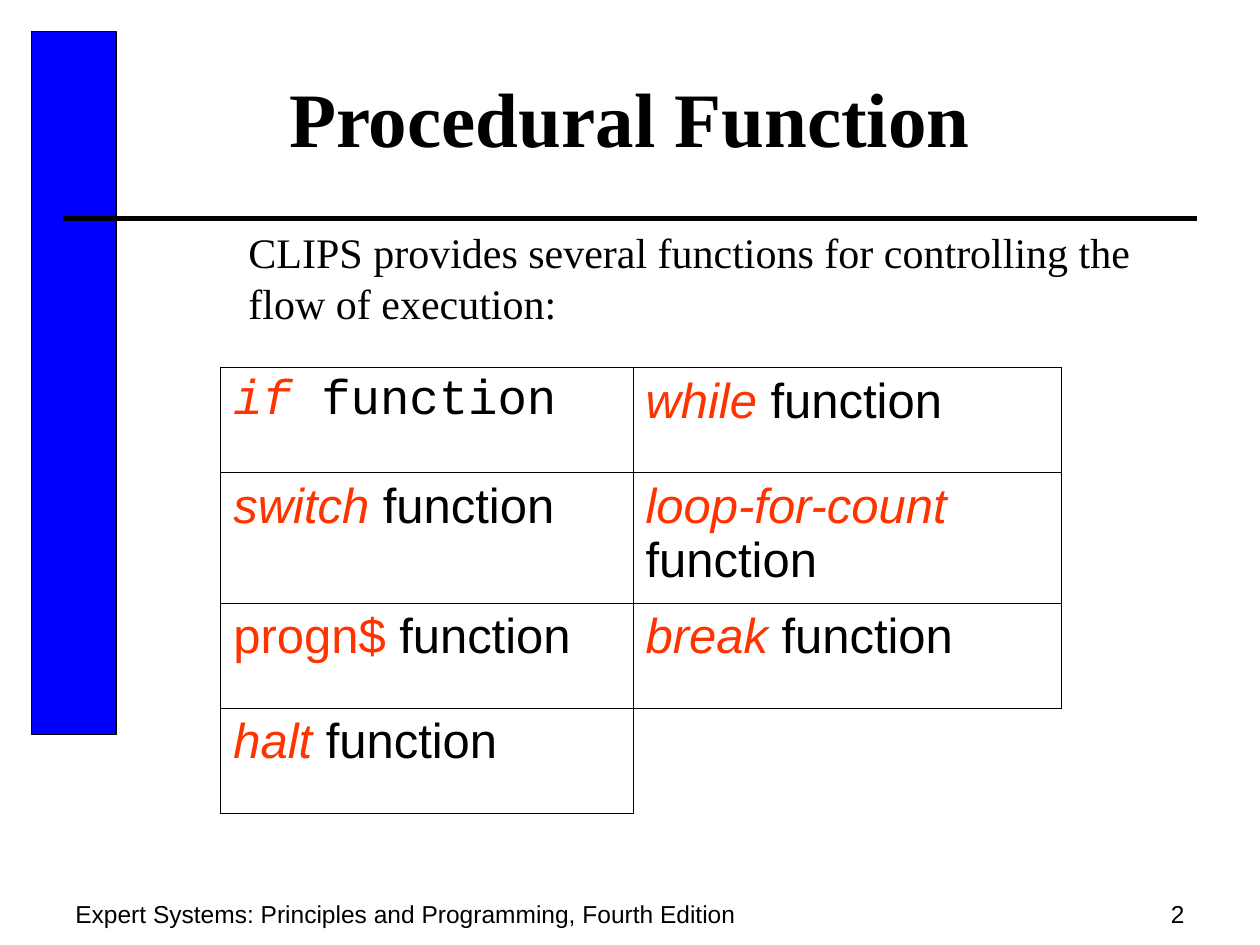
from lxml.etree import SubElement
from pptx import Presentation
from pptx.dml.color import RGBColor
from pptx.enum.shapes import MSO_CONNECTOR, MSO_SHAPE
from pptx.enum.text import MSO_ANCHOR, PP_ALIGN
from pptx.oxml.ns import qn
from pptx.util import Cm, Pt

BLACK = RGBColor(0x00, 0x00, 0x00)
BLUE = RGBColor(0x00, 0x00, 0xFF)
ORANGE = RGBColor(0xFF, 0x33, 0x00)
SERIF, SANS, MONO = "Times New Roman", "Arial", "Courier New"

COLUMN_WIDTHS = (8.31, 8.64)
ROW_HEIGHTS = (2.12, 2.62, 2.12, 2.12)
# Each cell: keyword, rest, font, keyword in italics
FUNCTIONS = (
    (("if", " function", MONO, True), ("while", " function", SANS, True)),
    (("switch", " function", SANS, True), ("loop-for-count ", "function", SANS, True)),
    (("progn$", " function", SANS, False), ("break", " function", SANS, True)),
    (("halt", " function", SANS, True), None),
)


def add_span(para, text, size, font, color=BLACK, bold=False, italic=False):
    span = para.add_run()
    span.text = text
    span.font.size = Pt(size)
    span.font.name = font
    span.font.color.rgb = color
    span.font.bold = bold
    span.font.italic = italic


def add_text(page, left, top, width, height, text, size, font, bold=False,
             align=PP_ALIGN.LEFT, anchor=MSO_ANCHOR.TOP, indent=0):
    box = page.shapes.add_textbox(Cm(left), Cm(top), Cm(width), Cm(height))
    frame = box.text_frame
    frame.word_wrap = True
    frame.vertical_anchor = anchor
    frame.margin_left = Cm(0.25 + indent)
    para = frame.paragraphs[0]
    para.alignment = align
    add_span(para, text, size, font, bold=bold)


def add_decoration(page, left, top):
    # Blue bar with the rule crossing it
    bar = page.shapes.add_shape(
        MSO_SHAPE.RECTANGLE, Cm(left), Cm(top), Cm(1.7), Cm(14.17))
    bar.shadow.inherit = False
    bar.fill.solid()
    bar.fill.fore_color.rgb = BLUE
    bar.line.color.rgb = BLACK
    bar.line.width = Pt(0.75)

    rule_left, rule_top = left + 0.63, top + 3.76
    rule = page.shapes.add_connector(
        MSO_CONNECTOR.STRAIGHT, Cm(rule_left), Cm(rule_top),
        Cm(rule_left + 22.86), Cm(rule_top))
    rule.line.color.rgb = BLACK
    rule.line.width = Pt(3)
    SubElement(rule.element.spPr, qn("a:effectLst"))


def set_borders(cell, drawn):
    properties = cell._tc.get_or_add_tcPr()
    for position, side in enumerate("LRTB"):
        border = properties.makeelement(qn(f"a:ln{side}"), {"w": str(Pt(0.45))})
        if side in drawn:
            fill = SubElement(border, qn("a:solidFill"))
            SubElement(fill, qn("a:srgbClr"), val=str(BLACK))
        else:
            SubElement(border, qn("a:noFill"))
        properties.insert(position, border)


def add_function_table(page, left, top):
    frame = page.shapes.add_table(
        len(ROW_HEIGHTS), len(COLUMN_WIDTHS), Cm(left), Cm(top),
        Cm(sum(COLUMN_WIDTHS)), Cm(sum(ROW_HEIGHTS)))
    table = frame.table
    table.first_row = False
    table.horz_banding = False
    for column, width in zip(table.columns, COLUMN_WIDTHS):
        column.width = Cm(width)
    for row, height, entries in zip(table.rows, ROW_HEIGHTS, FUNCTIONS):
        row.height = Cm(height)
        for cell, entry in zip(row.cells, entries):
            cell.fill.background()
            # The empty cell stays open to the right and below
            set_borders(cell, "LRTB" if entry else "LT")
            if entry:
                keyword, rest, font, italic = entry
                para = cell.text_frame.paragraphs[0]
                add_span(para, keyword, 28, font, ORANGE, italic=italic)
                add_span(para, rest, 28, font)


def add_footer(page, left, top):
    add_text(page, left, top, 16.93, 1.06,
             "Expert Systems: Principles and Programming, Fourth Edition", 14, SANS)
    add_text(page, left + 16.93, top, 5.93, 0.7, "2", 14, SANS, align=PP_ALIGN.RIGHT)


def main():
    deck = Presentation()
    deck.slide_width, deck.slide_height = Cm(25.4), Cm(19.05)
    page = deck.slides.add_slide(deck.slide_layouts[6])

    add_decoration(page, 0.64, 0.64)
    # Title and introduction
    add_text(page, 1.27, 0.76, 22.86, 3.18, "Procedural Function", 44, SERIF,
             bold=True, align=PP_ALIGN.CENTER, anchor=MSO_ANCHOR.MIDDLE)
    add_text(page, 3.81, 4.45, 19.89, 2.4,
             "CLIPS provides several functions for controlling the flow of execution:",
             24, SERIF, indent=0.95)
    add_function_table(page, 4.45, 7.41)
    add_footer(page, 1.27, 17.99)

    deck.save("out.pptx")


if __name__ == "__main__":
    main()
